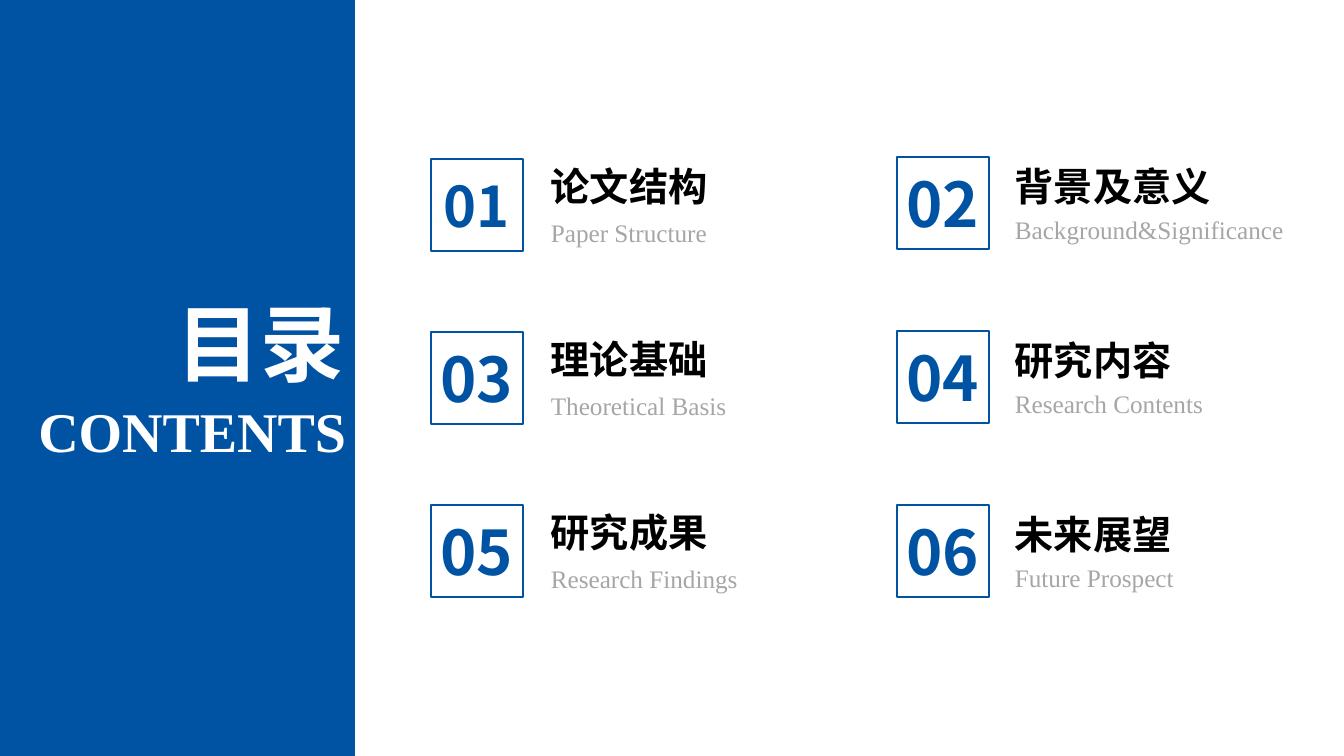
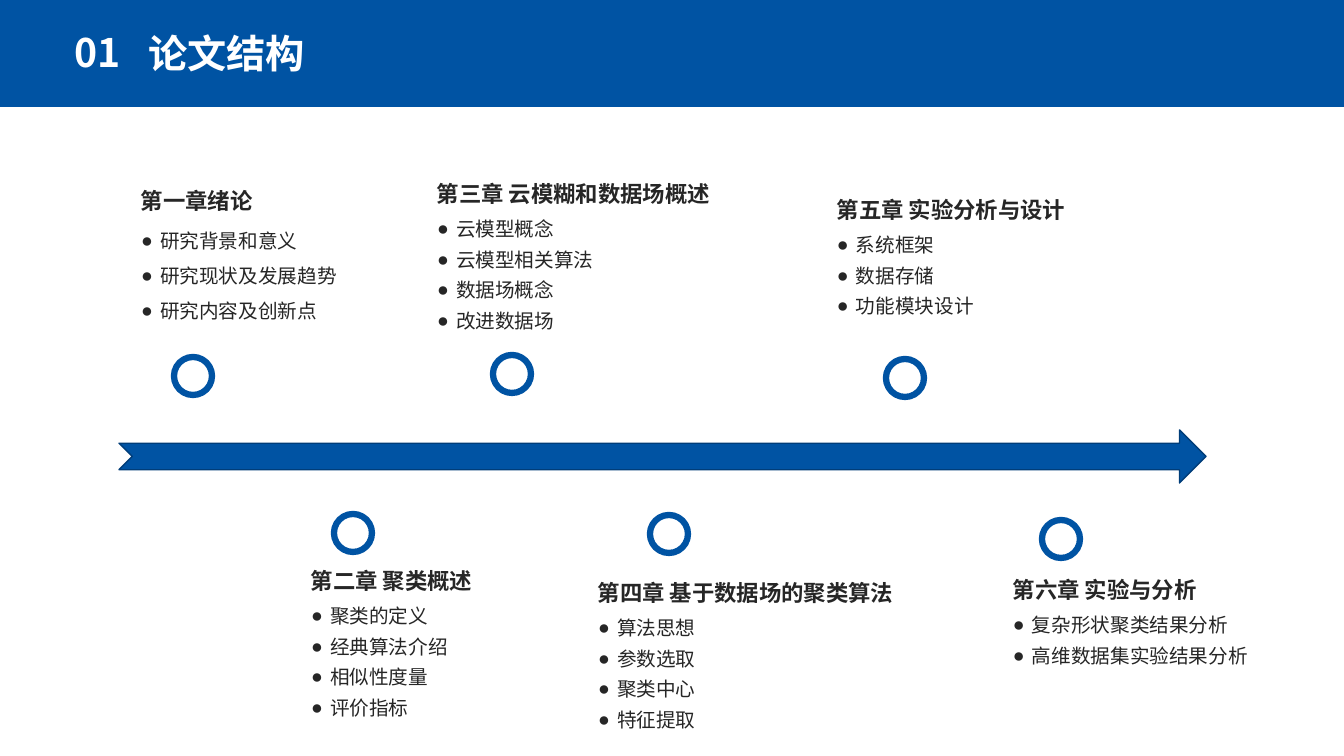
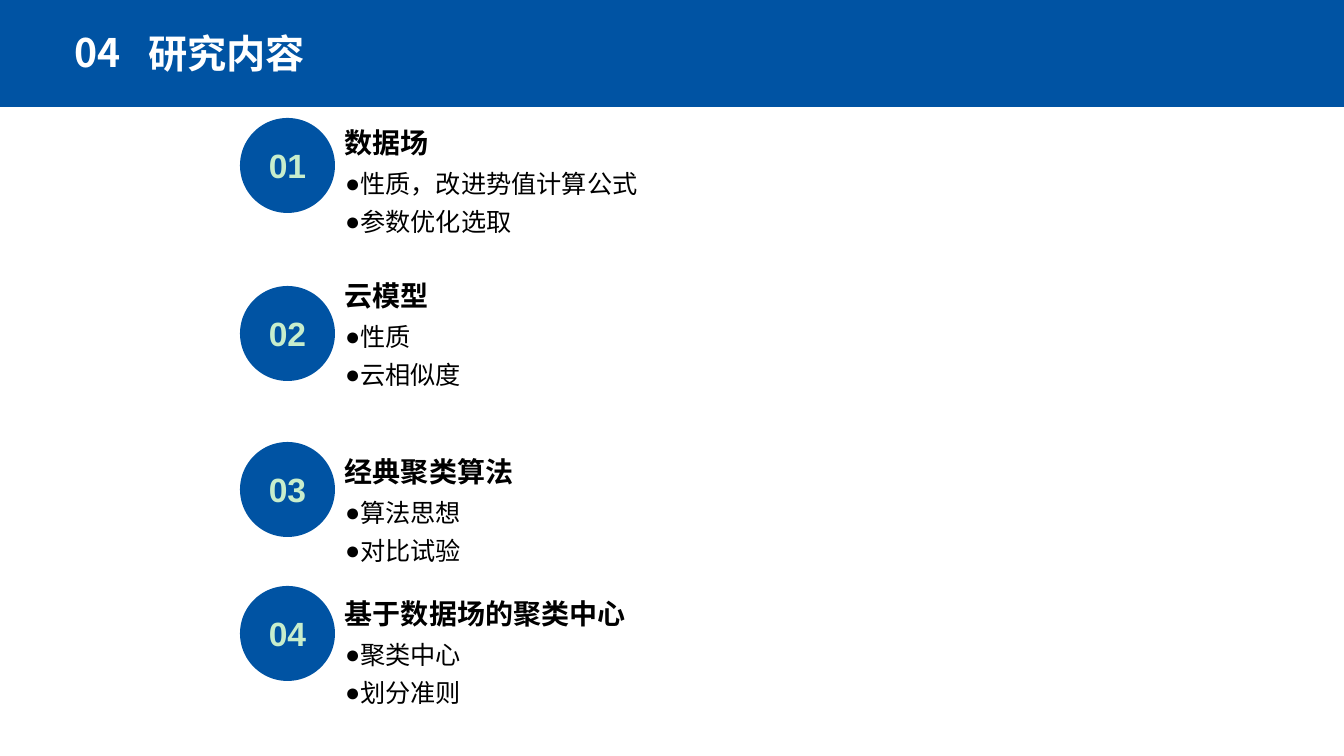
from lxml import etree
from pptx import Presentation
from pptx import util as u
from pptx.dml.color import RGBColor
from pptx.enum import shapes, text
from pptx.oxml import ns

PX = 914400 / 100.8
BLUE = RGBColor(0x00, 0x53, 0xA3)
NAVY = RGBColor(0x00, 0x3D, 0x79)
WHITE = RGBColor(0xFF, 0xFF, 0xFF)
BLACK = RGBColor(0x00, 0x00, 0x00)
CHARCOAL = RGBColor(0x26, 0x26, 0x26)
GREY = RGBColor(0xA6, 0xA6, 0xA6)
MINT = RGBColor(0xC7, 0xED, 0xCC)
HAN, SANS, SERIF, PLAIN = "Noto Sans CJK SC", "Arial", "Times New Roman", "DejaVu Sans"
LEFT, CENTER, RIGHT = text.PP_ALIGN.LEFT, text.PP_ALIGN.CENTER, text.PP_ALIGN.RIGHT
TITLE_ONLY, FOUR_BODIES = 5, 4
KIND = shapes.MSO_SHAPE


def px(length):
    return u.Emu(round(length * PX))


class Deck:
    """Holds the presentation, the current page and the shared style."""

    def __init__(self):
        self.show = Presentation()
        self.show.slide_width, self.show.slide_height = px(1344), px(756)

    def new_page(self, layout):
        self.page = self.show.slides.add_slide(self.show.slide_layouts[layout])
        self.bodies = [holder for holder in self.page.placeholders
                       if holder.placeholder_format.idx > 0]

    def chapter_page(self, number, title):
        self.new_page(FOUR_BODIES)
        self.panel(1344, 107)
        self.title(title, (138, 24, 596, 57), 28)
        self.label(number, (52, 23, 92, 57), 28, WHITE, bold=True, align=CENTER)

    def shape(self, kind, at, fill=None, line=None, weight=1):
        shape = self.page.shapes.add_shape(kind, *map(px, at))
        shape.shadow.inherit = False
        if fill is None:
            shape.fill.background()
        else:
            shape.fill.solid()
            shape.fill.fore_color.rgb = fill
        if line is None:
            shape.line.fill.background()
        else:
            shape.line.color.rgb = line
            shape.line.width = u.Pt(weight)
        return shape

    def panel(self, width, height):
        """Blue area from the top left corner, behind everything else."""
        panel = self.shape(KIND.RECTANGLE, (0, 0, width, height), BLUE)
        self.page.shapes._spTree.insert(2, panel._element)

    def badge(self, kind, at, number, size, color, font, **look):
        """Shape with a centred number in it."""
        frame = self.shape(kind, at, **look).text_frame
        frame.margin_left = frame.margin_right = 0
        frame.margin_top = frame.margin_bottom = 0
        frame.vertical_anchor = text.MSO_ANCHOR.MIDDLE
        self.add_span(frame.paragraphs[0], number, size, color, font, True, CENTER)

    def add_span(self, para, words, size, color, font, bold, align, spacing=1.0):
        para.alignment = align
        para.line_spacing = spacing
        para.space_before = para.space_after = u.Pt(0)
        span = para.add_run()
        span.text = words
        span.font.size = u.Pt(size)
        span.font.bold = bold
        span.font.color.rgb = color
        span.font.name = font
        east_asian = etree.SubElement(span.font._element, ns.qn("a:ea"))
        east_asian.set("typeface", HAN)

    def place(self, box, at):
        box.left, box.top, box.width, box.height = map(px, at)
        frame = box.text_frame
        frame.word_wrap = True
        frame.auto_size = text.MSO_AUTO_SIZE.NONE
        frame.vertical_anchor = text.MSO_ANCHOR.TOP
        return frame

    def title(self, words, at, size, align=LEFT):
        frame = self.place(self.page.shapes.title, at)
        self.add_span(frame.paragraphs[0], words, size, WHITE, HAN, True, align)

    def label(self, words, at, size, color, font=HAN, bold=False, align=LEFT):
        frame = self.place(self.page.shapes.add_textbox(*map(px, at)), at)
        self.add_span(frame.paragraphs[0], words, size, color, font, bold, align)

    def bullets(self, items, at, size, color, font, spacing, indent=0):
        """List in the next free body placeholder, or in a text box."""
        box = self.bodies.pop(0) if self.bodies else self.page.shapes.add_textbox(*map(px, at))
        frame = self.place(box, at)
        for index, item in enumerate(items):
            para = frame.add_paragraph() if index else frame.paragraphs[0]
            self.add_span(para, item, size, color, font, False, LEFT, spacing)
            props = para._p.get_or_add_pPr()
            props.set("marL", str(px(indent)))
            props.set("indent", str(px(-indent)))
            etree.SubElement(props, ns.qn("a:buFont")).set("typeface", SANS)
            etree.SubElement(props, ns.qn("a:buChar")).set("char", "●")


def contents(deck):
    deck.new_page(TITLE_ONLY)
    deck.panel(355, 756)
    deck.title("目录", (99, 286, 256, 112), 60, RIGHT)
    deck.label("CONTENTS", (0, 392, 356, 78), 40, WHITE, SERIF, True, RIGHT)
    entries = [("论文结构", "Paper Structure"), ("背景及意义", "Background&Significance"),
               ("理论基础", "Theoretical Basis"), ("研究内容", "Research Contents"),
               ("研究成果", "Research Findings"), ("未来展望", "Future Prospect")]
    # square left, first top, row step, text left, heading and subtitle offsets
    columns = [(431, 159, 173, 541, -2, 53), (897, 157, 174, 1005, 0, 52)]
    for index, (heading, subtitle) in enumerate(entries):
        row, column = divmod(index, 2)
        left, first, step, text_left, heading_dy, subtitle_dy = columns[column]
        top = first + row * step
        deck.badge(KIND.RECTANGLE, (left, top, 92, 92), f"{index + 1:02}",
                   44 if index else 40, BLUE, HAN, line=BLUE)
        deck.label(heading, (text_left, top + heading_dy, 264, 57), 28, BLACK, bold=True)
        deck.label(subtitle, (text_left, top + subtitle_dy, 300, 40), 18, GREY, SERIF)


def structure(deck):
    deck.chapter_page("01", "论文结构")
    # ring place, heading place, line spacing, heading, items
    chapters = [
        ((174, 357), (131, 182), 1.5, "第一章绪论",
         ["研究背景和意义", "研究现状及发展趋势", "研究内容及创新点"]),
        ((334, 514), (301, 562), 1.3, "第二章 聚类概述",
         ["聚类的定义", "经典算法介绍", "相似性度量", "评价指标"]),
        ((493, 355), (427, 175), 1.3, "第三章 云模糊和数据场概述",
         ["云模型概念", "云模型相关算法", "数据场概念", "改进数据场"]),
        ((650, 515), (588, 574), 1.3, "第四章 基于数据场的聚类算法",
         ["算法思想", "参数选取", "聚类中心", "特征提取"]),
        ((886, 359), (827, 191), 1.3, "第五章 实验分析与设计",
         ["系统框架", "数据存储", "功能模块设计"]),
        ((1042, 520), (1003, 571), 1.3, "第六章 实验与分析",
         ["复杂形状聚类结果分析", "高维数据集实验结果分析"]),
    ]
    for ring, (left, top), spacing, heading, items in chapters:
        deck.shape(KIND.OVAL, (*ring, 38, 38), WHITE, BLUE, 4.5)
        deck.label(heading, (left, top, 336, 37), 16, CHARCOAL, PLAIN, True)
        deck.bullets(items, (left, top + 30, 275, 10 + 31 * len(items)),
                     14, CHARCOAL, PLAIN, spacing, 19)
    deck.shape(KIND.NOTCHED_RIGHT_ARROW, (119, 430, 1087, 53), BLUE, NAVY)


def research(deck):
    deck.chapter_page("04", "研究内容")
    topics = [(118, 121, "数据场", ["性质，改进势值计算公式", "参数优化选取"]),
              (286, 274, "云模型", ["性质", "云相似度"]),
              (442, 450, "经典聚类算法", ["算法思想", "对比试验"]),
              (586, 592, "基于数据场的聚类中心", ["聚类中心", "划分准则"])]
    for number, (circle_top, top, heading, items) in enumerate(topics, 1):
        deck.badge(KIND.OVAL, (240, circle_top, 95, 95), f"{number:02}", 24, MINT, SANS,
                   fill=BLUE)
        deck.label(heading, (335, top, 800, 44), 20, BLACK, SANS, True)
        deck.bullets(items, (335, top + 35, 800, 83), 18, BLACK, SANS, 1.25)


def main():
    deck = Deck()
    contents(deck)
    structure(deck)
    research(deck)
    deck.show.save("out.pptx")


if __name__ == "__main__":
    main()
